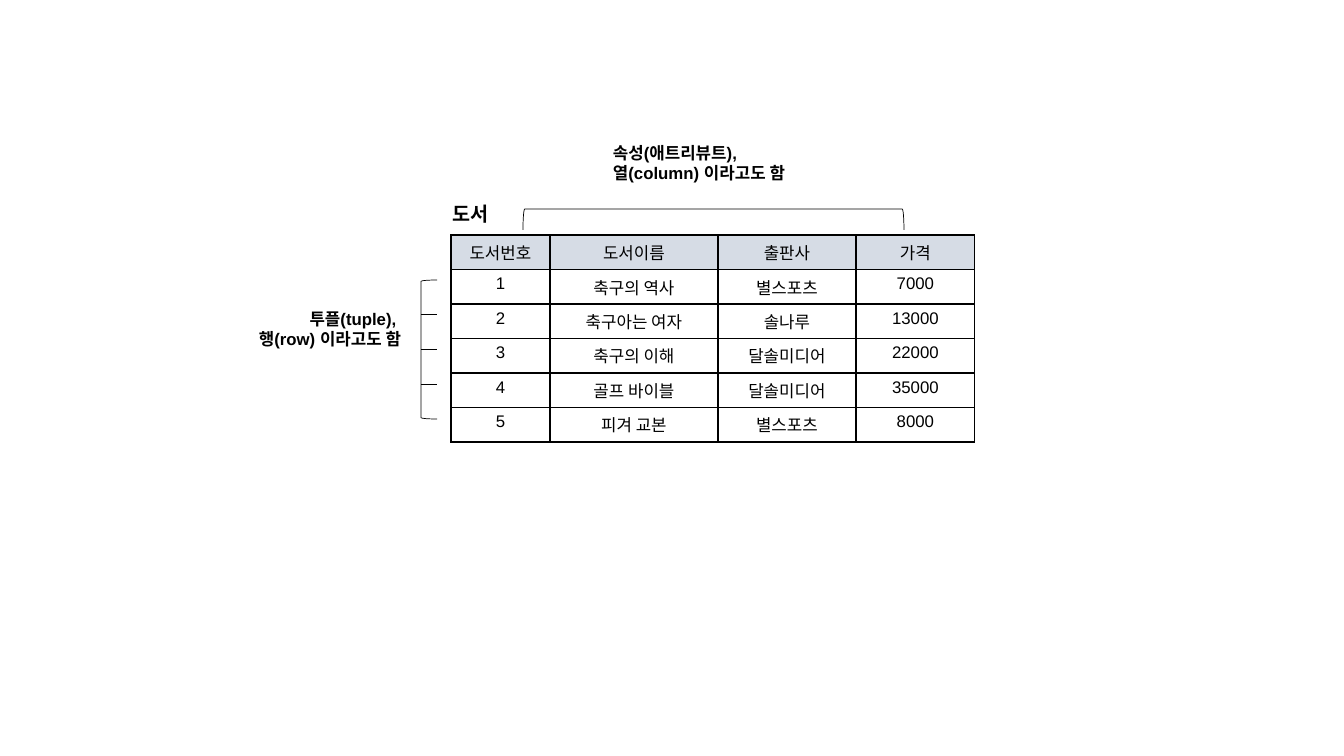
"""Build a slide that labels the columns and rows of a book table."""
from lxml.etree import SubElement
from pptx import Presentation
from pptx.dml.color import RGBColor
from pptx.enum.shapes import MSO_CONNECTOR, MSO_SHAPE
from pptx.enum.text import MSO_ANCHOR as ANCHOR, MSO_AUTO_SIZE as AUTO_SIZE, PP_ALIGN as ALIGN
from pptx.oxml.ns import qn
from pptx.util import Pt

EMU_PER_PX = 914400 / 100.8
SLIDE_SIZE = (1344, 756)
FONT = "Arial"
BLACK, WHITE, HEADER_FILL = "000000", "FFFFFF", "D6DCE5"

BOOKS = [
    ("도서번호", "도서이름", "출판사", "가격"),
    ("1", "축구의 역사", "별스포츠", "7000"),
    ("2", "축구아는 여자", "솔나루", "13000"),
    ("3", "축구의 이해", "달솔미디어", "22000"),
    ("4", "골프 바이블", "달솔미디어", "35000"),
    ("5", "피겨 교본", "별스포츠", "8000"),
]
COLUMN_WIDTHS = (99, 168, 138, 119)
TABLE_LEFT, TABLE_TOP, TABLE_HEIGHT = 451, 235, 197

LABELS = [
    (("속성(애트리뷰트),", "열(column) 이라고도 함"), (603, 138, 238, 50),
     dict(fit=AUTO_SIZE.SHAPE_TO_FIT_TEXT)),
    (("투플(tuple), ", "행(row) 이라고도 함"), (203, 304, 208, 50),
     dict(align=ALIGN.RIGHT, fit=AUTO_SIZE.SHAPE_TO_FIT_TEXT)),
    (("도서",), (443, 198, 207, 31), dict(size=14, anchor=ANCHOR.MIDDLE)),
]
COLUMN_BRACKET = (703, 29, 21, 381)
ROW_BRACKET = (421, 280, 16, 139)


def px(*lengths):
    return [round(length * EMU_PER_PX) for length in lengths]


def color(value):
    return RGBColor.from_string(value)


def write(frame, lines, size=12, bold=False, align=ALIGN.LEFT,
          anchor=ANCHOR.TOP, fit=AUTO_SIZE.NONE):
    frame.word_wrap = True
    frame.auto_size = fit
    frame.vertical_anchor = anchor
    for index, line in enumerate(lines):
        paragraph = frame.add_paragraph() if index else frame.paragraphs[0]
        paragraph.alignment = align
        run = paragraph.add_run()
        run.text = line
        run.font.name = FONT
        run.font.size = Pt(size)
        run.font.bold = bold
        run.font.color.rgb = color(BLACK)


def outline(line):
    line.color.rgb = color(BLACK)
    line.width = Pt(0.5)


def add_bracket(shapes, preset, box, rotation):
    bracket = shapes.add_shape(preset, *px(*box))
    bracket.rotation = rotation
    bracket.shadow.inherit = False
    bracket.fill.background()
    outline(bracket.line)


def add_row_ticks(shapes):
    left, top, width, height = ROW_BRACKET
    gaps = len(BOOKS) - 2
    for step in range(1, gaps):
        y = top + height * step / gaps
        tick = shapes.add_connector(MSO_CONNECTOR.STRAIGHT, *px(left, y, left + width, y))
        outline(tick.line)
        SubElement(tick._element.spPr, qn("a:effectLst"))


def add_borders(cell):
    properties = cell._tc.get_or_add_tcPr()
    for index, side in enumerate(("a:lnL", "a:lnR", "a:lnT", "a:lnB")):
        border = properties.makeelement(qn(side), {"w": str(Pt(1))})
        properties.insert(index, border)
        fill = SubElement(border, qn("a:solidFill"))
        SubElement(fill, qn("a:srgbClr"), val=BLACK)


def add_books(shapes):
    box = px(TABLE_LEFT, TABLE_TOP, sum(COLUMN_WIDTHS), TABLE_HEIGHT)
    table = shapes.add_table(len(BOOKS), len(COLUMN_WIDTHS), *box).table
    for column, width in zip(table.columns, px(*COLUMN_WIDTHS)):
        column.width = width
    for row_index, book in enumerate(BOOKS):
        table.rows[row_index].height, = px(TABLE_HEIGHT / len(BOOKS))
        for column_index, value in enumerate(book):
            cell = table.cell(row_index, column_index)
            cell.fill.solid()
            cell.fill.fore_color.rgb = color(WHITE if row_index else HEADER_FILL)
            add_borders(cell)
            write(cell.text_frame, [value], align=ALIGN.CENTER)


def main():
    deck = Presentation()
    deck.slide_width, deck.slide_height = px(*SLIDE_SIZE)
    shapes = deck.slides.add_slide(deck.slide_layouts[6]).shapes
    add_bracket(shapes, MSO_SHAPE.LEFT_BRACKET, COLUMN_BRACKET, 90)
    add_bracket(shapes, MSO_SHAPE.RIGHT_BRACKET, ROW_BRACKET, 180)
    add_row_ticks(shapes)
    add_books(shapes)
    for lines, box, style in LABELS:
        write(shapes.add_textbox(*px(*box)).text_frame, lines, bold=True, **style)
    deck.save("out.pptx")


if __name__ == "__main__":
    main()
